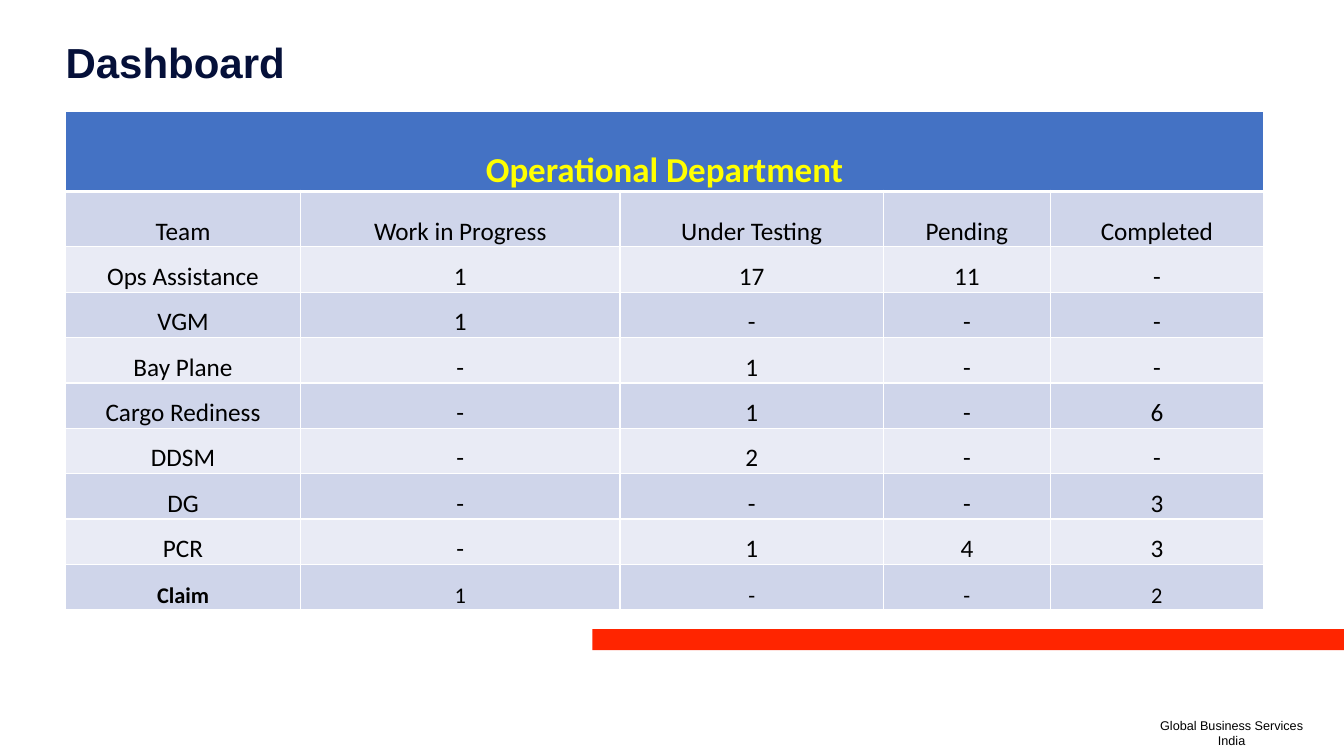
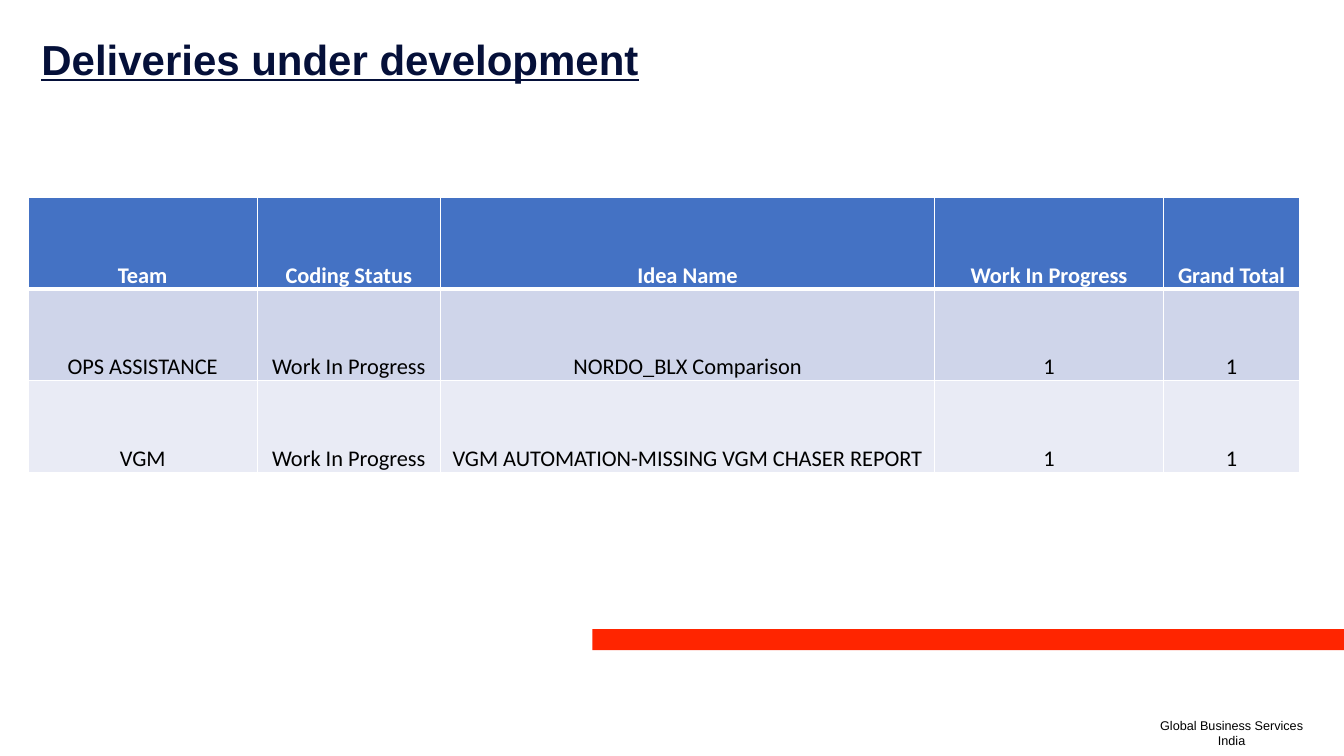
from lxml.etree import SubElement
from pptx import Presentation
from pptx.dml.color import RGBColor
from pptx.enum.shapes import MSO_SHAPE
from pptx.enum.text import MSO_ANCHOR, PP_ALIGN
from pptx.oxml.ns import qn
from pptx.util import Inches, Pt

WIDE, HIGH = Inches(13.33), Inches(7.5)
NAVY, RED, BLUE, GOLD = "051039", "FF2500", "4472C4", "FFFF00"
DARK, PALE, WHITE, BLACK = "CFD5EA", "E9EBF5", "FFFFFF", "000000"


def hue(code):
    return RGBColor.from_string(code)


def box(left, top, width, height):
    """Turn percentages of the slide into a frame."""
    return (int(WIDE * left / 100), int(HIGH * top / 100),
            int(WIDE * width / 100), int(HIGH * height / 100))


deck = Presentation()
deck.slide_width, deck.slide_height = WIDE, HIGH
layout = deck.slide_layouts[5]

# Per slide: title, frame, underline, table corner, column and row shares, cells
pages = [
    dict(title="Dashboard", frame=(4.13, 4.93, 91.75, 12.93), under=False,
         spot=(4.88, 14.8), cols=[17.48, 23.78, 19.58, 12.45, 15.83],
         rows=[10.53, 7.33] + [6] * 8, inset=0.01, head=(25, GOLD), size=18,
         cells=[["Operational Department", "", "", "", ""],
                ["Team", "Work in Progress", "Under Testing", "Pending", "Completed"],
                ["Ops Assistance", "1", "17", "11", "-"],
                ["VGM", "1", "-", "-", "-"],
                ["Bay Plane", "-", "1", "-", "-"],
                ["Cargo Rediness", "-", "1", "-", "6"],
                ["DDSM", "-", "2", "-", "-"],
                ["DG", "-", "-", "-", "3"],
                ["PCR", "-", "1", "4", "3"],
                ["Claim", "1", "-", "-", "2"]]),
    dict(title="Deliveries under development", frame=(2.33, 4.53, 94.52, 12.93),
         under=True, spot=(2.1, 26.13), cols=[17.03, 13.65, 36.76, 17.03, 10.13],
         rows=[12.13] * 3, inset=0.02, head=(16, WHITE), size=16,
         cells=[["Team", "Coding Status", "Idea Name", "Work In Progress", "Grand Total"],
                ["OPS ASSISTANCE", "Work In Progress", "NORDO_BLX Comparison", "1", "1"],
                ["VGM", "Work In Progress", "VGM AUTOMATION-MISSING VGM CHASER REPORT",
                 "1", "1"]]),
]

for page in pages:
    slide = deck.slides.add_slide(layout)

    # Title
    title = slide.shapes.title
    title.left, title.top, title.width, title.height = box(*page["frame"])
    title.text_frame.vertical_anchor = MSO_ANCHOR.TOP
    title.text_frame.text = page["title"]
    para = title.text_frame.paragraphs[0]
    para.alignment, para.line_spacing = PP_ALIGN.LEFT, 0.9
    font = para.font
    font.name, font.size, font.bold = "Arial", Pt(30), True
    font.underline, font.color.rgb = page["under"], hue(NAVY)

    # Table
    cells, cols, rows = page["cells"], page["cols"], page["rows"]
    table = slide.shapes.add_table(
        len(rows), len(cols), *box(*page["spot"], sum(cols), sum(rows))).table
    for col, share in zip(table.columns, cols):
        col.width = int(WIDE * share / 100)
    for r, share in enumerate(rows):
        table.rows[r].height = int(HIGH * share / 100)
        for c, text in enumerate(cells[r]):
            cell = table.cell(r, c)
            cell.text = text
            cell.vertical_anchor = MSO_ANCHOR.BOTTOM
            cell.margin_left = cell.margin_right = cell.margin_top = Inches(page["inset"])
            cell.margin_bottom = 0

            # White borders, thick below the head row
            props = cell._tc.get_or_add_tcPr()
            for side in "LRTB":
                thick = (r, side) in ((0, "B"), (1, "T"))
                line = SubElement(props, qn("a:ln" + side), w=str(Pt(3 if thick else 1)))
                fill = SubElement(line, qn("a:solidFill"))
                SubElement(fill, qn("a:srgbClr"), val=WHITE)
            cell.fill.solid()
            cell.fill.fore_color.rgb = hue((DARK if r % 2 else PALE) if r else BLUE)

            size, ink = (page["size"], BLACK) if r else page["head"]
            claim = cells[r][0] == "Claim"
            para = cell.text_frame.paragraphs[0]
            para.alignment = PP_ALIGN.CENTER
            font = para.font
            font.name, font.size = "Calibri", Pt(16 if claim else size)
            font.bold = r == 0 or text == "Claim"
            font.color.rgb = hue(ink)
    if not cells[0][1]:
        table.cell(0, 0).merge(table.cell(0, len(cols) - 1))

# Red band and footer, drawn once and moved to the shared layout
band = slide.shapes.add_shape(MSO_SHAPE.RECTANGLE, *box(44.07, 83.2, 55.93, 2.8))
band.shadow.inherit = False
band.fill.solid()
band.fill.fore_color.rgb = hue(RED)
band.line.fill.background()

foot = slide.shapes.add_textbox(*box(85.52, 94.27, 12.23, 5.33))
frame = foot.text_frame
frame.word_wrap = True
frame.margin_left = frame.margin_right = Inches(0.05)
frame.text = "Global Business Services\nIndia"
for para in frame.paragraphs:
    para.alignment = PP_ALIGN.CENTER
    para.font.name, para.font.size = "Arial", Pt(9)
    para.font.color.rgb = hue(BLACK)

for part in (band, foot):
    layout.shapes.element.append(part.element)

deck.save("out.pptx")
